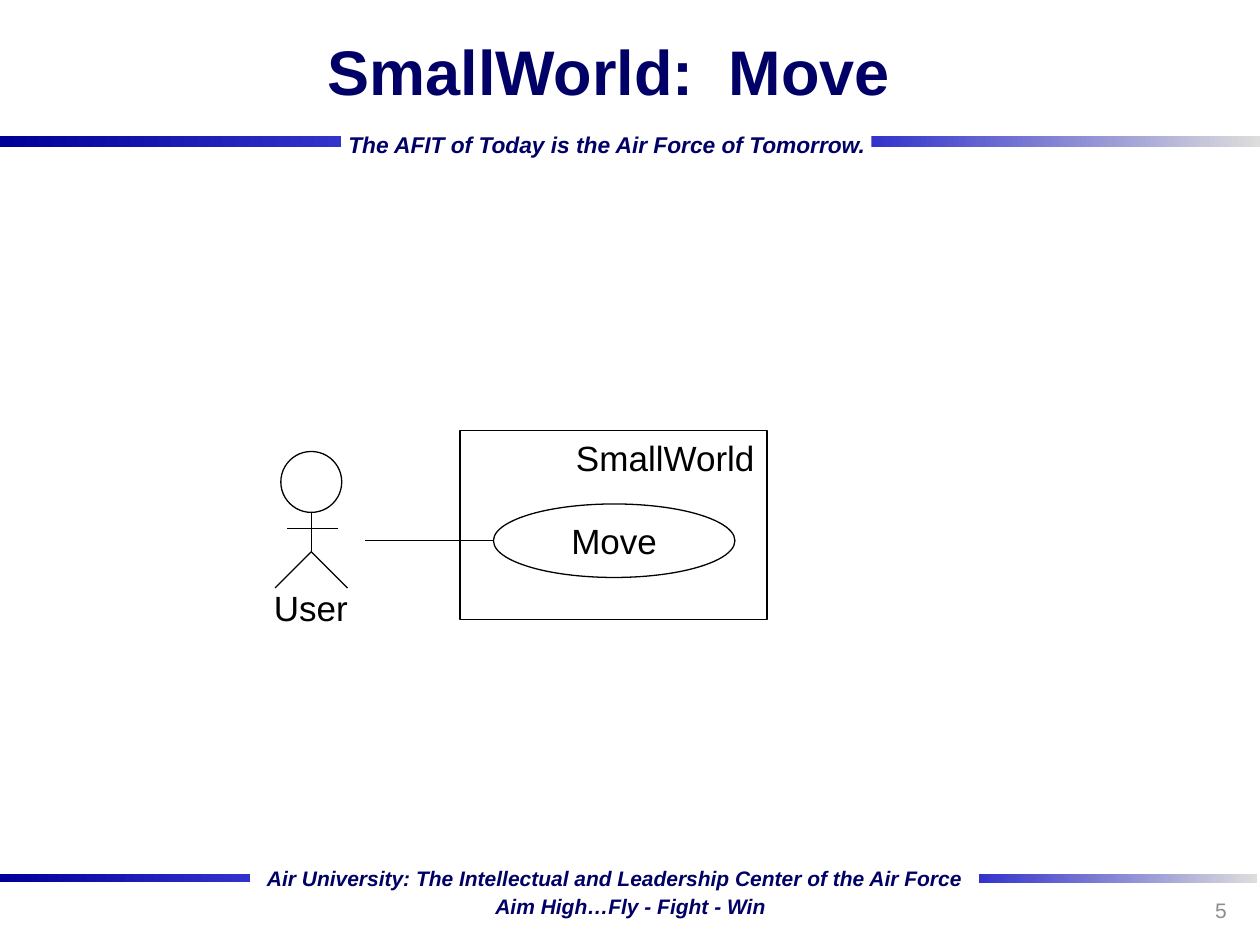
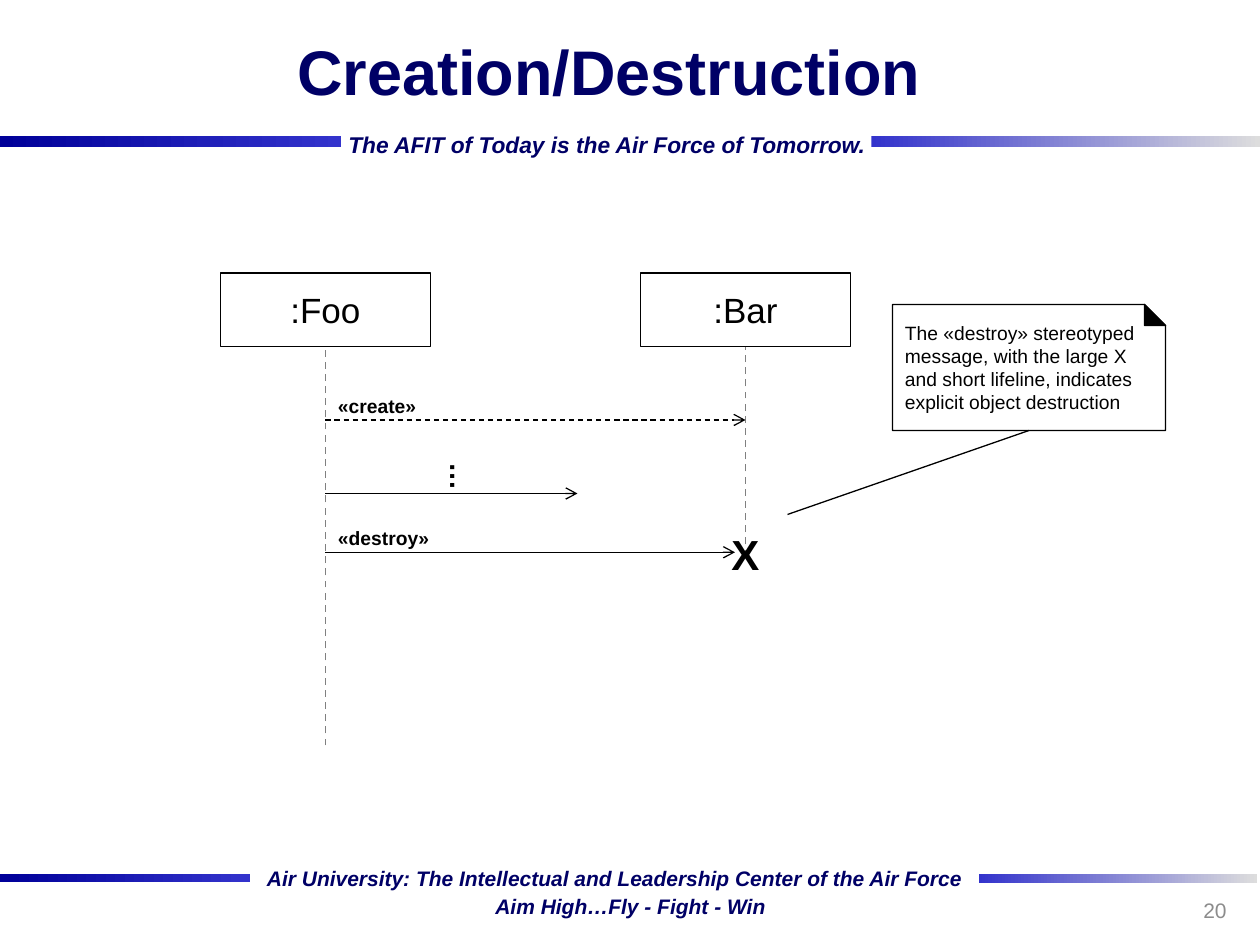
"""Builds two UML slides, a use case and a sequence diagram, on a 120 x 90 grid."""
from lxml import etree
from pptx import Presentation
from pptx.dml.color import RGBColor
from pptx.enum.dml import MSO_LINE
from pptx.enum.shapes import MSO_CONNECTOR, MSO_SHAPE
from pptx.enum.text import MSO_ANCHOR, PP_ALIGN
from pptx.oxml.ns import qn
from pptx.util import Inches, Pt

RECT, OVAL = MSO_SHAPE.RECTANGLE, MSO_SHAPE.OVAL
SNIP, CORNER = MSO_SHAPE.SNIP_1_RECTANGLE, MSO_SHAPE.RIGHT_TRIANGLE
STRAIGHT, DASH = MSO_CONNECTOR.STRAIGHT, MSO_LINE.DASH
LEFT, CENTER, RIGHT = PP_ALIGN.LEFT, PP_ALIGN.CENTER, PP_ALIGN.RIGHT
TOP, MIDDLE = MSO_ANCHOR.TOP, MSO_ANCHOR.MIDDLE

FONT = "Arial"
COLORS = {
    "navy": "000066", "deep": "000099", "blue": "3333CC", "mist": "DDDDDD",
    "black": "000000", "white": "FFFFFF", "gray": "808080", "number": "8C8C8C",
}
BANDS = [
    ((0, 83.2, 23.8, 0.85), "deep", "blue"),
    ((93.2, 83.25, 26.5, 0.85), "blue", "mist"),
    ((83, 13, 37, 1.05), "blue", "mist"),
    ((0, 13, 32.5, 1), "deep", "blue"),
]
MOTTOS = [
    ((24.25, 81.85, 69.1, 3.5), 12,
     "Air University: The Intellectual and Leadership Center of the Air Force"),
    ((46, 84.5, 28.3, 3.5), 12, "Aim High…Fly - Fight - Win"),
    ((32, 11.9, 52.2, 3.7), 13, "The AFIT of Today is the Air Force of Tomorrow."),
]


def grid(*units):
    """Turn grid units, twelve to the inch, into lengths."""
    return [Inches(u / 12) for u in units]


def rgb(name):
    """Look up a named colour."""
    return RGBColor.from_string(COLORS[name])


def write(sp, text, size, color="black", align=LEFT, anchor=TOP,
          bold=False, italic=False, wrap=True):
    """Put one formatted paragraph into a shape."""
    tf = sp.text_frame
    tf.text = text
    tf.word_wrap = wrap
    tf.vertical_anchor = anchor
    p = tf.paragraphs[0]
    p.alignment = align
    font = p.runs[0].font
    font.name, font.size, font.bold, font.italic = FONT, Pt(size), bold, italic
    font.color.rgb = rgb(color)


def add_text(s, box, text, size, **style):
    """Add a text box."""
    sp = s.shapes.add_textbox(*grid(*box))
    write(sp, text, size, **style)
    return sp


def add_outline(s, kind, box, fill="white"):
    """Add a preset shape with a thin black outline."""
    sp = s.shapes.add_shape(kind, *grid(*box))
    sp.shadow.inherit = False
    if fill:
        sp.fill.solid()
        sp.fill.fore_color.rgb = rgb(fill)
    else:
        sp.fill.background()
    sp.line.color.rgb = rgb("black")
    sp.line.width = Pt(0.75)
    return sp


def add_line(s, start, end, color="black", width=0.75, dashed=False, arrow=False):
    """Add a straight line, optionally dashed or with an open arrowhead."""
    sp = s.shapes.add_connector(STRAIGHT, *grid(*start, *end))
    sp.line.color.rgb = rgb(color)
    sp.line.width = Pt(width)
    if dashed:
        sp.line.dash_style = DASH
    if arrow:
        etree.SubElement(sp.line._get_or_add_ln(), qn("a:tailEnd"), type="arrow")
    etree.SubElement(sp._element.spPr, qn("a:effectLst"))


def add_band(s, box, start, end):
    """Add a horizontal gradient band."""
    sp = s.shapes.add_shape(RECT, *grid(*box))
    sp.shadow.inherit = False
    sp.line.fill.background()
    sp.fill.gradient()
    sp.fill.gradient_angle = 0
    for stop, color, position in zip(sp.fill.gradient_stops, (start, end), (0, 1)):
        stop.color.rgb = rgb(color)
        stop.position = position


def add_slide(prs, title, number):
    """Add a slide with the shared bands, mottos, title and number."""
    s = prs.slides.add_slide(prs.slide_layouts[6])
    for box, start, end in BANDS:
        add_band(s, box, start, end)
    for box, size, text in MOTTOS:
        add_text(s, box, text, size, color="navy", bold=True, italic=True, wrap=False)
    add_text(s, (7, 0, 102, 13.4), title, 36, color="navy", align=CENTER,
             anchor=MIDDLE, bold=True)
    add_text(s, (90, 84.25, 28, 4.8), str(number), 12, color="number",
             align=RIGHT, anchor=MIDDLE)
    return s


def add_actor(s, x, y, name):
    """Draw a stick figure centred on x with its head starting at y."""
    hip = y + 9.55
    add_outline(s, OVAL, (x - 2.9, y, 5.8, 5.8))
    add_line(s, (x, y + 5.8), (x, hip))
    for side in (-1, 1):
        add_line(s, (x, hip), (x + side * 3.45, hip + 3.45))
    add_line(s, (x - 2.3, y + 7.35), (x + 2.5, y + 7.35))
    add_text(s, (x - 4.8, y + 12.3, 9.5, 5.2), name, 20, align=CENTER, wrap=False)


def add_participant(s, x, end, name):
    """Draw an object box centred on x and its lifeline down to end."""
    add_line(s, (x, end), (x, 33), color="gray", width=1, dashed=True)
    sp = add_outline(s, RECT, (x - 10, 26, 20, 7))
    write(sp, name, 20, align=CENTER, anchor=MIDDLE, wrap=False)


def add_message(s, start, end, y, label=None, dashed=False):
    """Draw a message arrow with an optional label above it."""
    add_line(s, (start, y), (end, y), dashed=dashed, arrow=True)
    if label:
        add_text(s, (start, y - 3.05, 22, 3.5), label, 11, bold=True)


def add_note(s, x, y, w, h, text):
    """Draw a note with a folded corner."""
    fold = 2
    write(add_outline(s, SNIP, (x, y, w, h)), text, 11)
    add_outline(s, CORNER, (x + w - fold, y, fold, fold), fill="black")


def build_use_case(prs):
    """Build the use case slide."""
    s = add_slide(prs, "SmallWorld:  Move", 5)
    add_actor(s, 29.65, 43, "User")
    system = add_outline(s, RECT, (43.8, 41, 29.25, 18), fill=None)
    write(system, "SmallWorld", 20, align=RIGHT, wrap=False)
    move = add_outline(s, OVAL, (47, 48, 23, 7))
    write(move, "Move", 20, align=CENTER, anchor=MIDDLE, wrap=False)
    add_line(s, (47, 51.5), (34.8, 51.5))


def build_sequence(prs):
    """Build the object creation and destruction slide."""
    s = add_slide(prs, "Creation/Destruction", 20)
    foo, bar = 31, 71
    add_participant(s, foo, 71, ":Foo")
    add_participant(s, bar, 53, ":Bar")
    add_message(s, foo, bar, 40, "«create»", dashed=True)
    add_message(s, foo, 55, 47)
    add_message(s, foo, bar - 1, 52.6, "«destroy»")
    dots = add_text(s, (39.25, 42.7, 6, 4.45), "…", 16, bold=True)
    dots.rotation = 270
    add_text(s, (bar - 3, 49.7, 6, 6), "X", 24, align=CENTER, bold=True)
    add_note(s, 85, 29, 26, 12,
             "The «destroy» stereotyped message, with the large X "
             "and short lifeline, indicates explicit object destruction")
    add_line(s, (98, 41), (75, 49))


def main():
    """Build and save the presentation."""
    prs = Presentation()
    prs.slide_width, prs.slide_height = grid(120, 90)
    build_use_case(prs)
    build_sequence(prs)
    prs.save("out.pptx")


if __name__ == "__main__":
    main()
